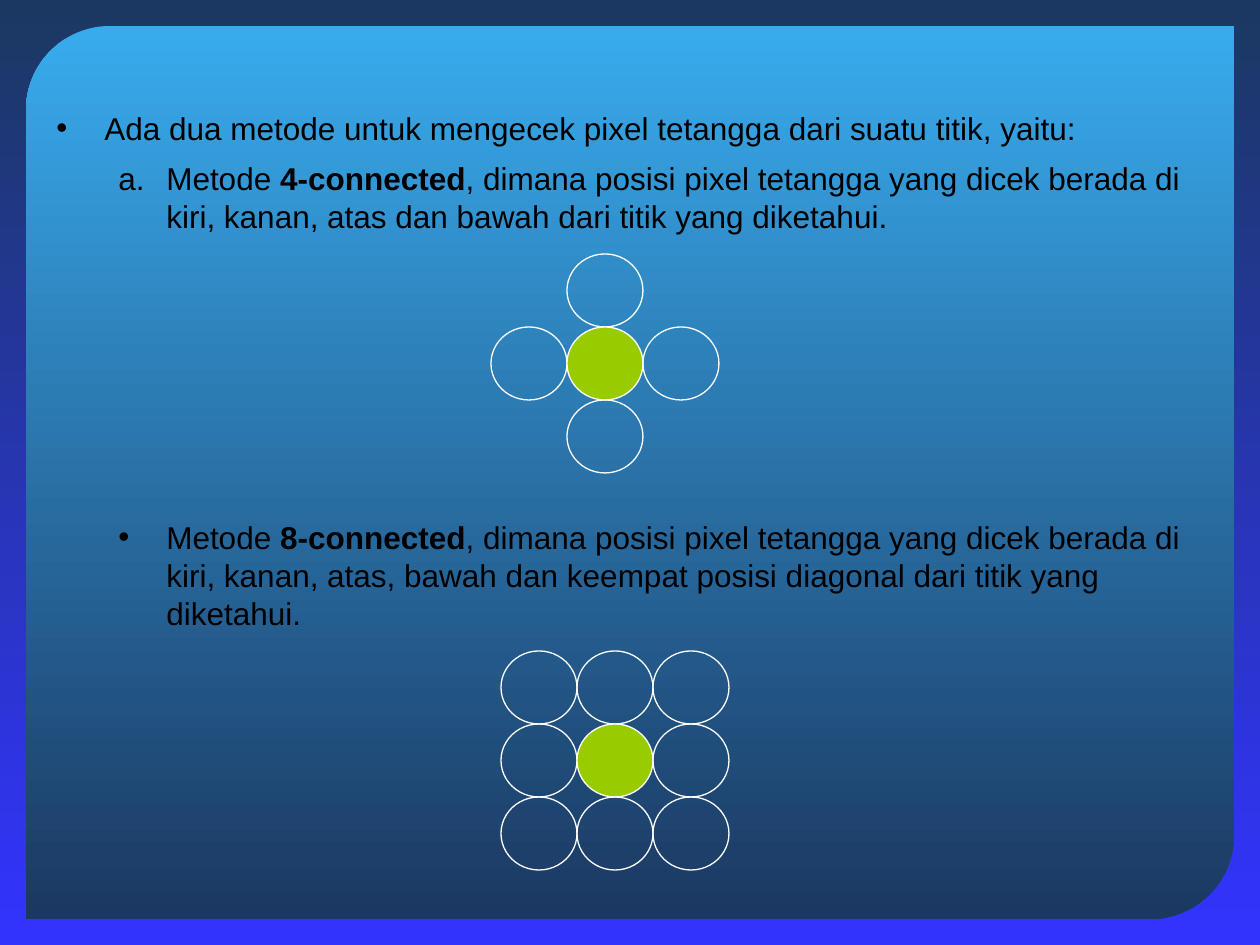
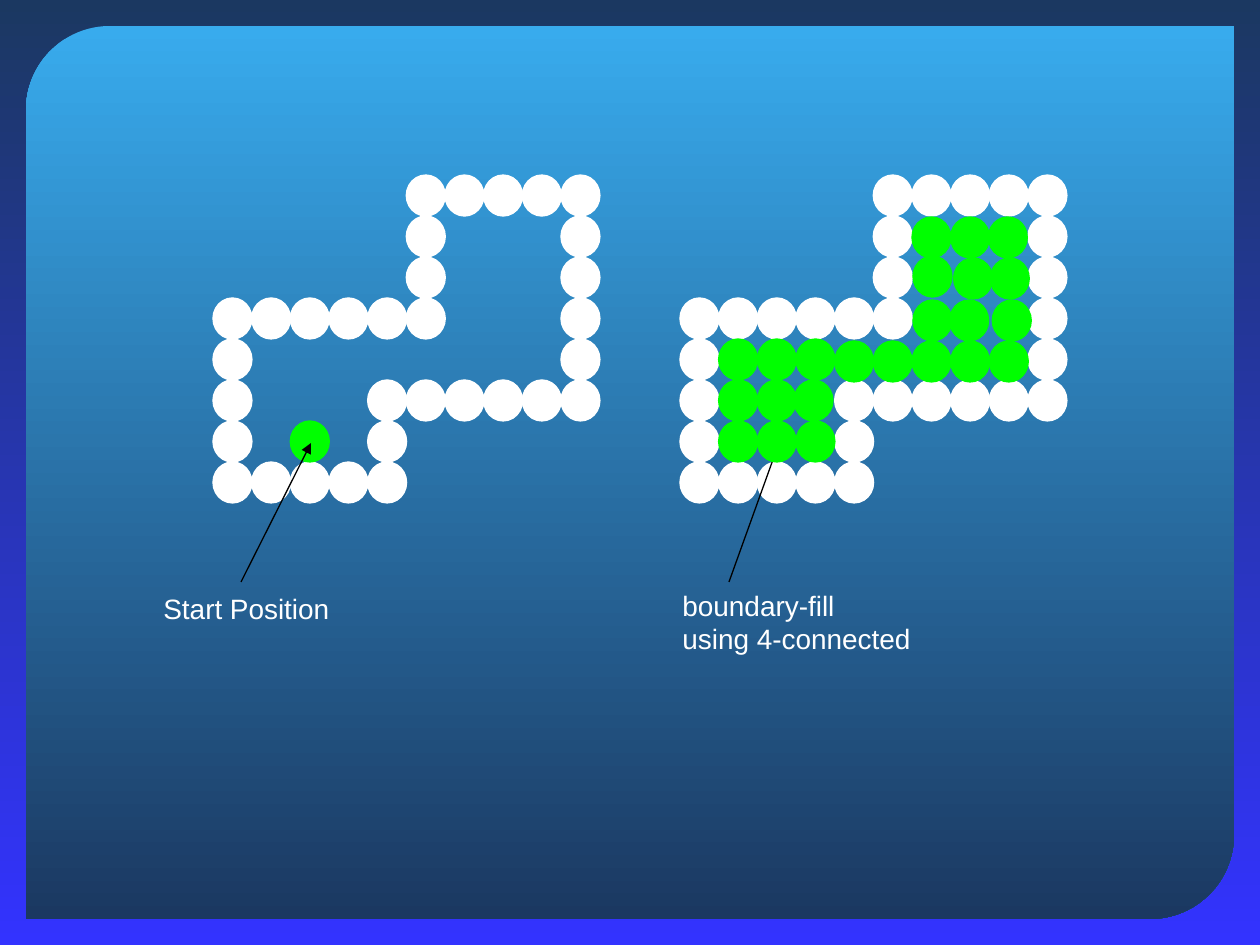
from itertools import product

from pptx import Presentation
from pptx.dml.color import RGBColor
from pptx.enum.shapes import MSO_CONNECTOR as Link, MSO_SHAPE as Form
from pptx.enum.text import MSO_AUTO_SIZE as Fit, PP_ALIGN as Align
from pptx.oxml.ns import qn
from pptx.util import Emu, Pt
from lxml.etree import SubElement as Sub

# Shared scale and colours
SCALE = 914400 / 126
WIDE, HIGH = 1260, 945
NAVY, BLUE, SKY = "1B3861", "3333FF", "38ABED"
WHITE, BLACK, LIME, GREEN = "FFFFFF", "000000", "99CC00", "00FF00"
BODY = {"name": "Arial", "size": Pt(18)}
LABEL = {"name": "Arial", "size": Pt(16)}

# Area to fill: "#" is boundary, "o" is inside
AREA = (
    ".....#####",
    ".....#ooo#",
    ".....#ooo#",
    "######ooo#",
    "#oooooooo#",
    "#ooo######",
    "#ooo#.....",
    "#####.....",
)
SEED = (6, 2)
# Small shifts of hand-placed inside pixels: (row, column) -> (x, y)
SHIFT = {
    (1, 6): (0, 1), (1, 7): (0, 1), (1, 8): (-1, 1),
    (2, 6): (1, -1), (2, 7): (3, 1), (2, 8): (1, 1),
    (3, 6): (1, 2), (3, 7): (-1, 2), (3, 8): (3, 2),
    (5, 3): (-2, 0),
    **{(4, col): (0, 2) for col in range(4, 9)},
}


def px(*vals):
    return [Emu(round(val * SCALE)) for val in vals]


def rgb(code):
    return RGBColor.from_string(code)


def apply(item, vals):
    for key, val in vals.items():
        setattr(item, key, val)


def blend(fill, top, base):
    fill.gradient()
    fill.gradient_angle = 270
    for stop, code in zip(fill.gradient_stops, (top, base)):
        stop.color.rgb = rgb(code)


def page(prs):
    slide = prs.slides.add_slide(prs.slide_layouts[6])
    blend(slide.background.fill, NAVY, BLUE)
    panel = slide.shapes.add_shape(
        Form.ROUND_2_DIAG_RECTANGLE, *px(26, 26, 1208, 893))
    panel.adjustments[0] = 84 / 893
    panel.shadow.inherit = False
    panel.line.fill.background()
    blend(panel.fill, SKY, NAVY)
    return slide


def dot(shapes, box, fill, line=WHITE):
    oval = shapes.add_shape(Form.OVAL, *px(*box))
    oval.shadow.inherit = False
    if fill:
        oval.fill.solid()
        oval.fill.fore_color.rgb = rgb(fill)
    else:
        oval.fill.background()
    oval.line.color.rgb = rgb(line)
    oval.line.width = Pt(0.75)


def near(shapes, left, top, diag):
    """Centre pixel with its four or eight neighbours."""
    for row, col in product((-1, 0, 1), repeat=2):
        if diag or not row * col:
            fill = None if row or col else LIME
            dot(shapes, (left + 76 * col, top + 73 * row, 76, 73), fill)


def pixel(shapes, left, row, col, code, shift=(0, 0)):
    x = left + col * 348 / 9 + shift[0]
    y = 175 + row * 41 + shift[1]
    dot(shapes, (x, y, 39, 41), code, code)


def cells(mark):
    return [(row, col) for row, line in enumerate(AREA)
            for col, sign in enumerate(line) if sign == mark]


def edge(shapes, left):
    for row, col in cells("#"):
        pixel(shapes, left, row, col, WHITE)


def arrow(shapes, *ends):
    link = shapes.add_connector(Link.STRAIGHT, *px(*ends))
    link.line.color.rgb = rgb(BLACK)
    link.line.width = Pt(0.75)
    Sub(link.line._get_or_add_ln(), qn("a:tailEnd"), type="triangle")
    Sub(link._element.spPr, qn("a:effectLst"))


def frame(shapes, box, wrap):
    text = shapes.add_textbox(*px(*box)).text_frame
    apply(text, {"word_wrap": wrap, "auto_size": Fit.SHAPE_TO_FIT_TEXT})
    return text


def write(para, words, style, code, bold=False):
    run = para.add_run()
    run.text = words
    apply(run.font, {**style, "bold": bold})
    run.font.color.rgb = rgb(code)


def bullet(para, level, number):
    props = para._p.get_or_add_pPr()
    left, hang = px((48, 110)[level], -48)
    for key, val in {"marL": left, "indent": hang, "lvl": level}.items():
        props.set(key, str(val))
    Sub(Sub(props, qn("a:buClr")), qn("a:srgbClr"), val=BLACK)
    if number:
        Sub(props, qn("a:buAutoNum"), type="alphaLcPeriod")
    else:
        Sub(props, qn("a:buFont"), typeface="Arial")
        Sub(props, qn("a:buChar"), char="•")
    para.space_after = Pt(6.8)


def points(shapes, box, items):
    """Each item is level, numbered or not, and runs; odd runs are bold."""
    text = frame(shapes, box, True)
    for spot, (level, number, runs) in enumerate(items):
        para = text.add_paragraph() if spot else text.paragraphs[0]
        bullet(para, level, number)
        for turn, words in enumerate(runs):
            write(para, words, BODY, BLACK, turn % 2 == 1)


def label(shapes, box, lines, align=Align.LEFT):
    text = frame(shapes, box, False)
    for spot, words in enumerate(lines):
        para = text.add_paragraph() if spot else text.paragraphs[0]
        para.alignment = align
        write(para, words, LABEL, WHITE)


def methods(prs):
    shapes = page(prs).shapes
    points(shapes, (44, 103, 1160, 139), [
        (0, False, ["Ada dua metode untuk mengecek pixel tetangga "
                    "dari suatu titik, yaitu:"]),
        (1, True, ["Metode ", "4-connected",
                   ", dimana posisi pixel tetangga yang dicek berada di "
                   "kiri, kanan, atas dan bawah dari titik yang diketahui."]),
    ])
    points(shapes, (44, 512, 1160, 126), [
        (1, False, ["Metode ", "8-connected",
                    ", dimana posisi pixel tetangga yang dicek berada di "
                    "kiri, kanan, atas, bawah dan keempat posisi diagonal "
                    "dari titik yang diketahui."]),
    ])
    near(shapes.add_group_shape().shapes, 567, 327, False)
    near(shapes, 577, 724, True)


def filling(prs):
    shapes = page(prs).shapes
    # Start position
    edge(shapes, 213)
    pixel(shapes, 213, *SEED, GREEN)
    arrow(shapes, 241, 582, 311, 443)
    label(shapes, (150, 585, 192, 47), ["Start Position"], Align.RIGHT)
    # Filled area
    edge(shapes, 680)
    arrow(shapes, 729, 582, 779, 443)
    label(shapes, (670, 582, 258, 81), ["boundary-fill", "using 4-connected"])
    for spot in cells("o"):
        pixel(shapes, 680, *spot, GREEN, SHIFT.get(spot, (0, 0)))


def main():
    prs = Presentation()
    prs.slide_width, prs.slide_height = px(WIDE, HIGH)
    methods(prs)
    filling(prs)
    prs.save("out.pptx")


if __name__ == "__main__":
    main()
